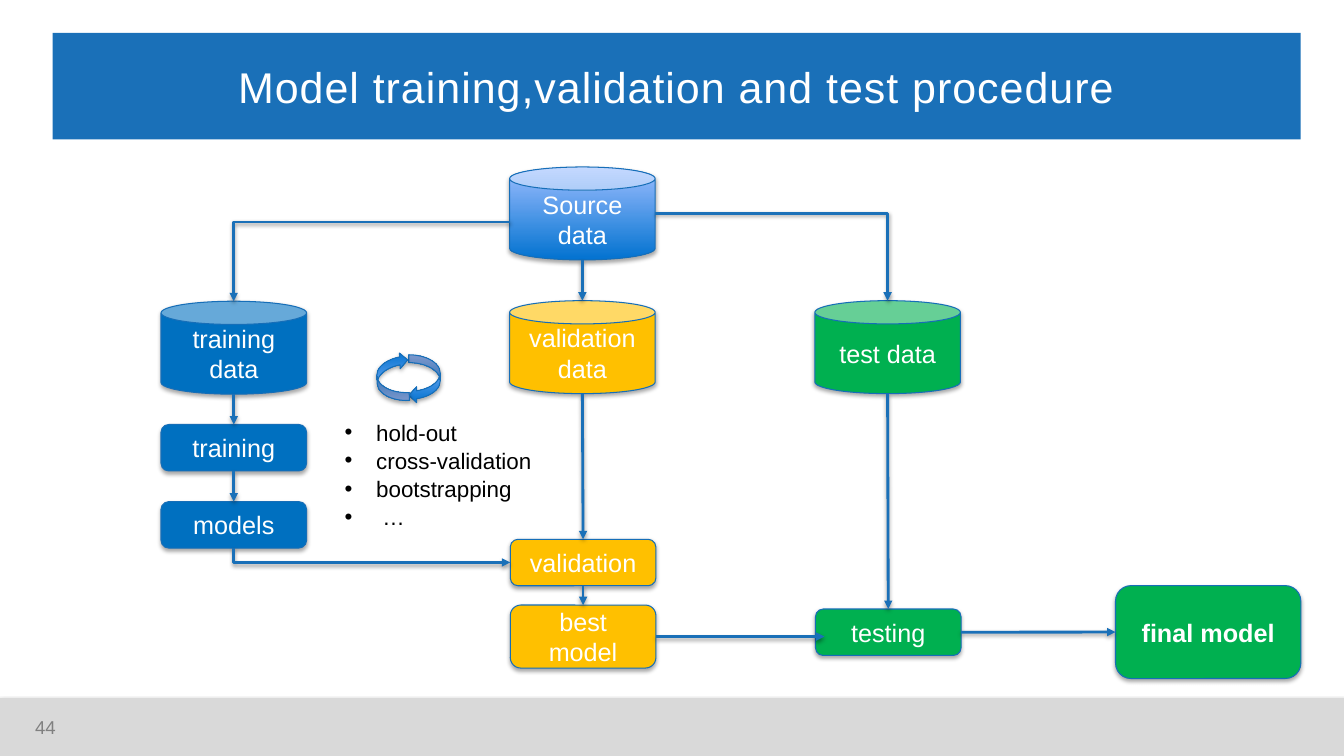
from lxml import etree
from pptx import Presentation
from pptx.dml.color import RGBColor
from pptx.enum import shapes, text
from pptx.oxml import ns
from pptx.util import Pt

rgb = RGBColor.from_string
qn = ns.qn


def add_shadow(s, alpha, dist):
    effects = etree.SubElement(s._element.spPr, qn("a:effectLst"))
    outer = etree.SubElement(effects, qn("a:outerShdw"), blurRad=str(Pt(3.1)), dist=str(Pt(dist)),
                             dir="5400000", rotWithShape="0")
    clr = etree.SubElement(outer, qn("a:srgbClr"), val="000000")
    etree.SubElement(clr, qn("a:alpha"), val=str(alpha * 1000))


def style_text(p, size, color, align):
    p.alignment = align
    for r in p.runs:
        r.font.name = "Arial"
        r.font.size = Pt(size)
        r.font.color.rgb = rgb(color)


prs = Presentation()
prs.slide_width, prs.slide_height = Pt(960), Pt(540)
slide = prs.slides.add_slide(prs.slide_layouts[1])
CENTER, LEFT = text.PP_ALIGN.CENTER, text.PP_ALIGN.LEFT

title = slide.shapes.title
title.left, title.top, title.width, title.height = Pt(37.6), Pt(23.4), Pt(891.4), Pt(76.2)
title.fill.solid()
title.fill.fore_color.rgb = rgb("1A70B8")
tf = title.text_frame
tf.text = "Model training,validation and test procedure"
tf.auto_size = text.MSO_AUTO_SIZE.NONE
tf.vertical_anchor = text.MSO_ANCHOR.MIDDLE
tf.margin_top = tf.margin_bottom = Pt(15.8)
style_text(tf.paragraphs[0], 30.7, "FFFFFF", CENTER)
tf.paragraphs[0].runs[0].font._element.set("spc", "70")

body = slide.placeholders[1]
body.left, body.top, body.width, body.height = Pt(239), Pt(294.5), Pt(149), Pt(85)
tf = body.text_frame
tf.text = "hold-out\ncross-validation\nbootstrapping\n …"
tf.auto_size = text.MSO_AUTO_SIZE.NONE
tf.word_wrap = False
for p in tf.paragraphs:
    pPr = p._p.get_or_add_pPr()
    pPr.set("marL", str(Pt(22.5)))
    pPr.set("indent", str(Pt(-22.5)))
    etree.SubElement(pPr, qn("a:buFont"), typeface="Arial")
    etree.SubElement(pPr, qn("a:buChar"), char="•")
    p.space_before = Pt(0)
    p.line_spacing = 1.05
    style_text(p, 16, "000000", LEFT)

BAR = shapes.MSO_SHAPE.RECTANGLE
CAN = shapes.MSO_SHAPE.CAN
BOX = shapes.MSO_SHAPE.ROUNDED_RECTANGLE
CYCLE = shapes.MSO_SHAPE.CURVED_LEFT_ARROW
BLUE, AMBER, GREEN = "0070C0", "FFC000", "00B050"
W, CAN_H, BOX_H = 104, 66.4, 33.2
X1, X2, X3 = 115, 364, 582

nodes = {}
for kind, x, y, w, h, fill, label in [
    (BAR, 0, 499, 960, 41, "D9D9D9", ""),
    (CAN, X2, 119.3, W, CAN_H, None, "Source data"),
    (CAN, X1, 215.2, W, CAN_H, BLUE, "training data"),
    (CAN, X2, 214.8, W, CAN_H, AMBER, "validation data"),
    (CAN, X3, 214.8, W, CAN_H, GREEN, "test data"),
    (BOX, X1, 303.2, W, BOX_H, BLUE, "training"),
    (BOX, X1, 358.3, W, BOX_H, BLUE, "models"),
    (BOX, X2 + 0.5, 385.2, W, BOX_H, AMBER, "validation"),
    (BOX, X2 + 0.5, 432.2, W, 45, AMBER, "best model"),
    (BOX, X3 + 0.5, 435, W, BOX_H, GREEN, "testing"),
    (BOX, 796.8, 418.3, 132.4, CAN_H, GREEN, "final model"),
    (CYCLE, 292, 253.4, 22.5, 34.6, None, ""),
    (CYCLE, 269.2, 252, 22.5, 34.6, None, ""),
]:
    s = slide.shapes.add_shape(kind, Pt(x), Pt(y), Pt(w), Pt(h))
    if fill:
        s.fill.solid()
        s.fill.fore_color.rgb = rgb(fill)
    else:
        s.fill.gradient()
        s.fill.gradient_angle = 90
        for stop, color in zip(s.fill.gradient_stops, ("0272D0", "9DBEFF")):
            stop.color.rgb = rgb(color)
    s.line.color.rgb = rgb(fill if kind == BAR else "166EB8")
    s.line.width = Pt(0.75)
    add_shadow(s, 35, 1.8)
    if label:
        s.text_frame.text = label
        s.text_frame.vertical_anchor = text.MSO_ANCHOR.MIDDLE
        style_text(s.text_frame.paragraphs[0], 18, "FFFFFF", CENTER)
        nodes[label] = s
s.rotation = 177.3
nodes["final model"].text_frame.paragraphs[0].runs[0].font.bold = True

STRAIGHT, ELBOW = shapes.MSO_CONNECTOR.STRAIGHT, shapes.MSO_CONNECTOR.ELBOW
C1, C2, C3 = X1 + W / 2, X2 + W / 2, X3 + W / 2
for kind, x1, y1, x2, y2, begin, end, arrow_end in [
    (ELBOW, X2, 158.6, C1, 215.2, None, None, "tailEnd"),
    (ELBOW, X2 + W, 152.4, C3, 214.8, None, None, "tailEnd"),
    (ELBOW, X2 + 0.5, 401.8, C1, 391.5, None, None, "headEnd"),
    (STRAIGHT, C2, 185.7, C2, 214.8, None, None, "tailEnd"),
    (STRAIGHT, C1, 281.6, C1, 303.2, None, ("training", 0), "tailEnd"),
    (STRAIGHT, C1, 336.4, C1, 358.3, ("training", 2), ("models", 0), "tailEnd"),
    (STRAIGHT, C2, 281.2, C2, 385.2, None, ("validation", 0), "tailEnd"),
    (STRAIGHT, C2, 418.4, C2, 432.2, ("validation", 2), ("best model", 0), "tailEnd"),
    (STRAIGHT, X2 + W, 454.7, 589, 454.7, ("best model", 3), None, "tailEnd"),
    (STRAIGHT, X3 + W, 451.6, 796.8, 451.6, ("testing", 3), ("final model", 1), "tailEnd"),
    (STRAIGHT, C3, 281.2, C3, 435, None, ("testing", 0), "tailEnd"),
]:
    c = slide.shapes.add_connector(kind, Pt(x1), Pt(y1), Pt(x2), Pt(y2))
    if kind == ELBOW:
        c._element.spPr.find(qn("a:prstGeom")).set("prst", "bentConnector2")
    if begin:
        c.begin_connect(nodes[begin[0]], begin[1])
    if end:
        c.end_connect(nodes[end[0]], end[1])
    c.line.color.rgb = rgb("1A70B8")
    c.line.width = Pt(2)
    etree.SubElement(c.line._get_or_add_ln(), qn(f"a:{arrow_end}"), type="triangle")
    add_shadow(c, 38, 1.6)

number = slide.shapes.add_textbox(Pt(25), Pt(504.7), Pt(42.5), Pt(28.8))
tf = number.text_frame
tf.text = "44"
tf.word_wrap = True
tf.vertical_anchor = text.MSO_ANCHOR.MIDDLE
tf.margin_left = tf.margin_right = tf.margin_top = tf.margin_bottom = 0
style_text(tf.paragraphs[0], 13.3, "808080", LEFT)

prs.save("out.pptx")
